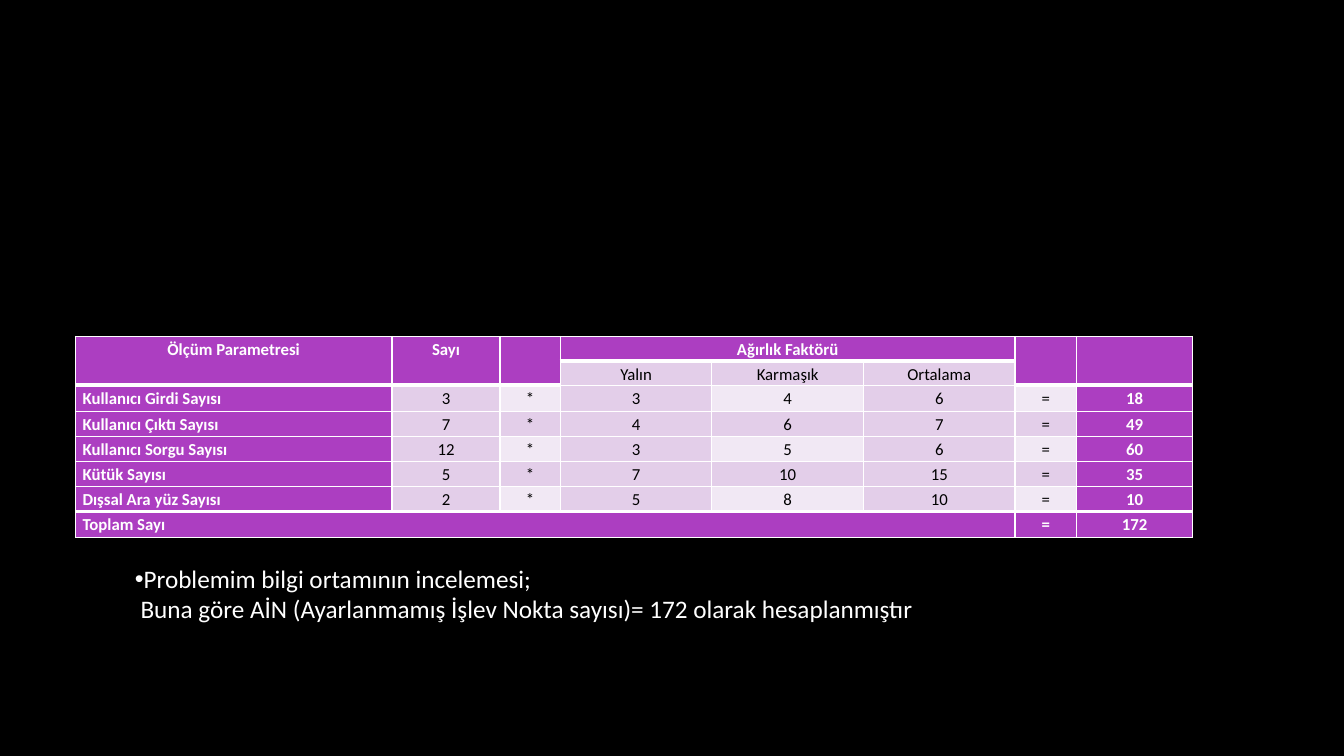
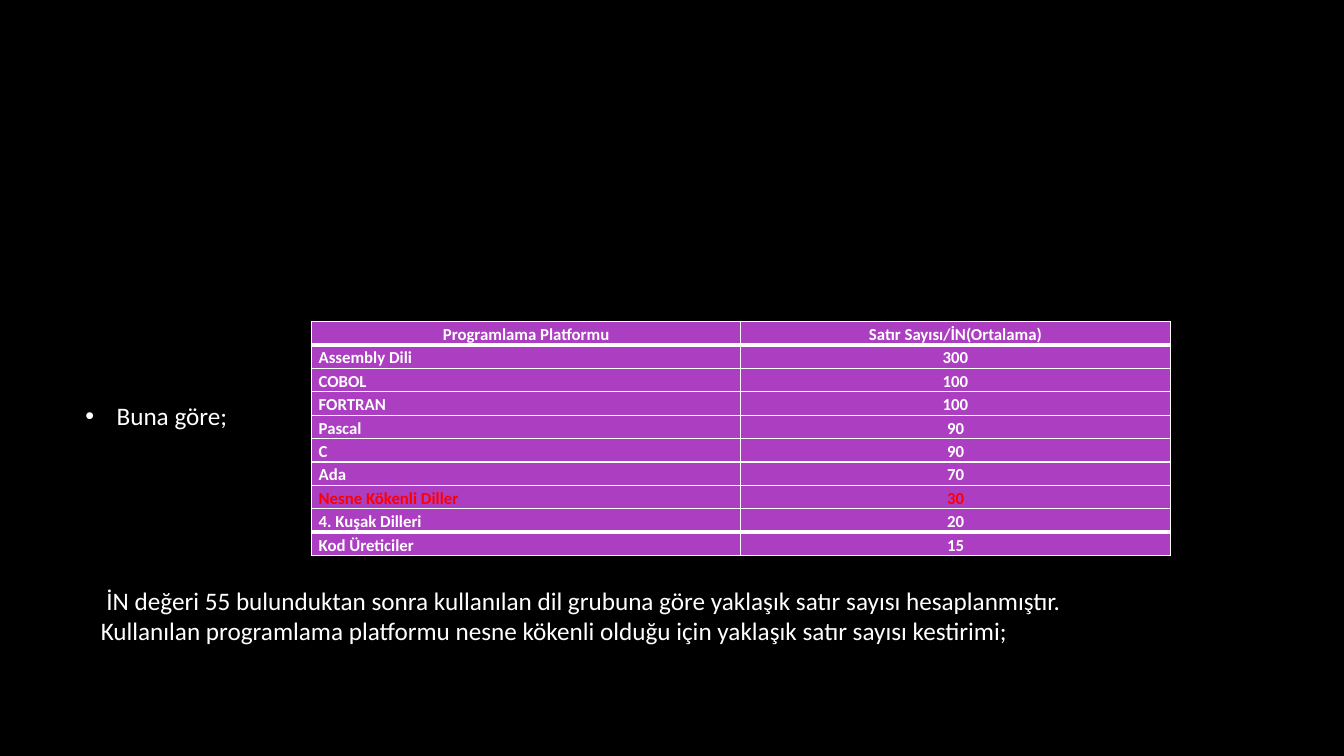
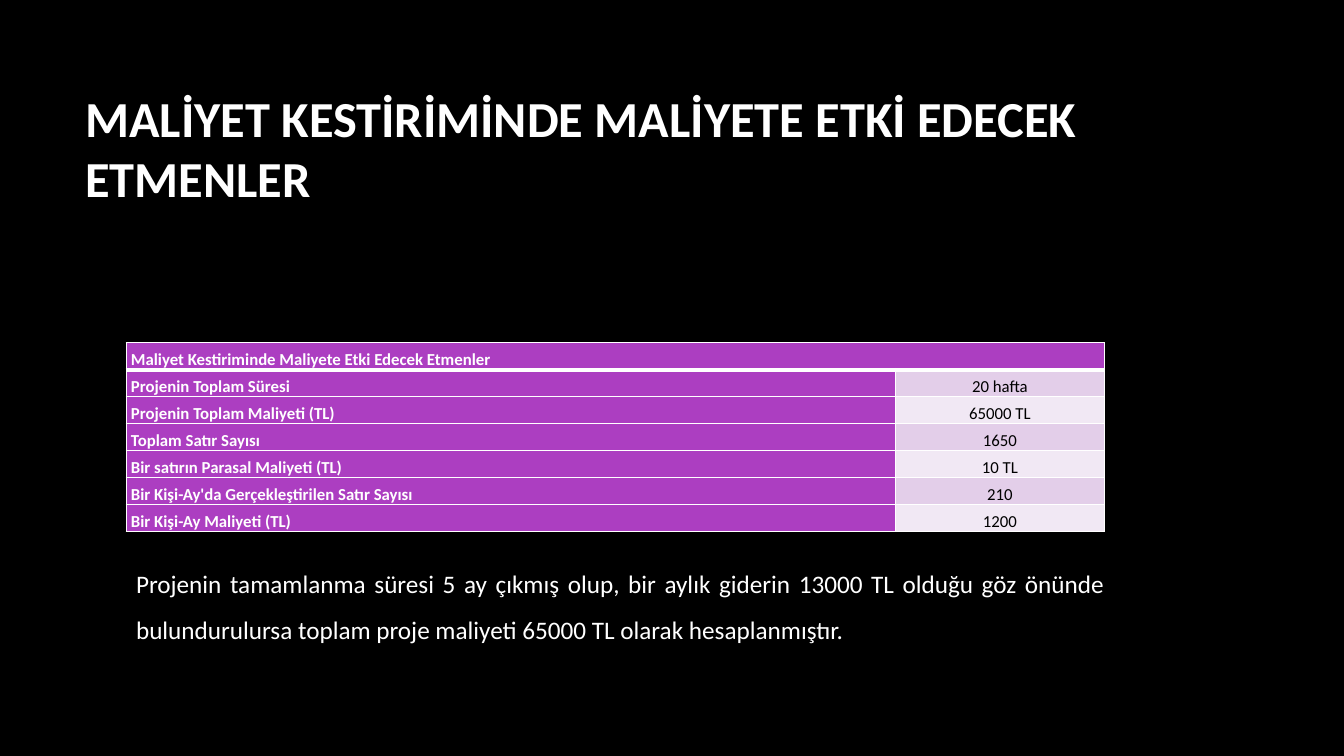
from dataclasses import dataclass

from lxml import etree
from pptx import Presentation
from pptx import util as u
from pptx.dml.color import RGBColor
from pptx.enum import text
from pptx.oxml.ns import qn

LEFT, MID, JUST = text.PP_ALIGN.LEFT, text.PP_ALIGN.CENTER, text.PP_ALIGN.JUSTIFY
TOP, CORE, LOW = text.MSO_ANCHOR.TOP, text.MSO_ANCHOR.MIDDLE, text.MSO_ANCHOR.BOTTOM


@dataclass(frozen=True)
class Theme:
    font: str = "Calibri"
    back: str = "000000"
    ink: str = "FFFFFF"
    dark: str = "000000"
    main: str = "AC3EC1"
    tint: str = "E3CEE9"
    pale: str = "F1E8F4"
    alert: str = "FF0000"
    title: int = 36
    body: int = 18
    cell: int = 12
    thin: int = 1
    thick: int = 3


THEME = Theme()


def write(para, words, size=THEME.body, color=THEME.ink, bold=False, align=LEFT,
          lead=1, after=0, left=0, first=0, bullet=None):
    para.alignment, para.line_spacing = align, lead
    para.space_after = u.Pt(after)
    props = para._p.get_or_add_pPr()
    props.set("marL", str(u.Cm(left)))
    props.set("indent", str(u.Cm(first)))
    if bullet:
        etree.SubElement(props, qn("a:buFont")).set("typeface", "Arial")
        etree.SubElement(props, qn("a:buChar")).set("char", bullet)
    if not words:
        end = etree.SubElement(para._p, qn("a:endParaRPr"))
        end.set("sz", str(size * 100))
        return
    run = para.add_run()
    run.text = words
    run.font.name, run.font.size, run.font.bold = THEME.font, u.Pt(size), bold
    run.font.color.rgb = RGBColor.from_string(color)


def edge(cell, side, width):
    """Draw one border of a cell; call before the fill is set."""
    line = etree.SubElement(cell._tc.get_or_add_tcPr(), qn("a:ln" + side))
    line.set("w", str(u.Pt(width)))
    fill = etree.SubElement(line, qn("a:solidFill"))
    etree.SubElement(fill, qn("a:srgbClr")).set("val", THEME.ink)


class Deck:
    def __init__(self):
        self.pres = Presentation()
        self.pres.slide_width, self.pres.slide_height = u.Cm(33.87), u.Cm(19.05)
        self.slide = None

    def page(self):
        self.slide = self.pres.slides.add_slide(self.pres.slide_layouts[6])
        fill = self.slide.background.fill
        fill.solid()
        fill.fore_color.rgb = RGBColor.from_string(THEME.back)

    def box(self, spot, *lines, anchor=TOP, **form):
        """Add a text box; each line is its words and its own format."""
        frame = self.slide.shapes.add_textbox(*map(u.Cm, spot)).text_frame
        frame.word_wrap, frame.vertical_anchor = True, anchor
        for i, (words, own) in enumerate(lines):
            para = frame.add_paragraph() if i else frame.paragraphs[0]
            write(para, words, **{**form, **own})

    def table(self, spot, cols, tall, rows, shade, thick, spans=(),
              anchor=TOP, pad=0.18, head=MID, alert=None):
        """shade(r, c) gives a cell's fill; thick holds cells with a heavy bottom."""
        size = map(u.Cm, (*spot, sum(cols), sum(tall)))
        grid = self.slide.shapes.add_table(len(rows), len(cols), *size).table
        grid.first_row = grid.horz_banding = False
        for col, width in zip(grid.columns, cols):
            col.width = u.Cm(width)
        for row, height in zip(grid.rows, tall):
            row.height = u.Cm(height)
        for start, stop in spans:
            grid.cell(*start).merge(grid.cell(*stop))
        for r, row in enumerate(rows):
            for c, words in enumerate(row):
                cell, fill = grid.cell(r, c), shade(r, c)
                cell.margin_left = cell.margin_right = u.Cm(pad)
                cell.margin_top = cell.margin_bottom = 0
                cell.vertical_anchor = anchor
                for side, heavy in (("L", False), ("R", False),
                                    ("T", (r - 1, c) in thick), ("B", (r, c) in thick)):
                    edge(cell, side, THEME.thick if heavy else THEME.thin)
                cell.fill.solid()
                cell.fill.fore_color.rgb = RGBColor.from_string(fill)
                strong = fill == THEME.main
                color = THEME.ink if strong else THEME.dark
                write(cell.text_frame.paragraphs[0], words, size=THEME.cell, bold=strong,
                      color=THEME.alert if r == alert else color, lead=1.15,
                      align=MID if c else LEFT if r else head)


def points(deck):
    deck.page()
    counts = [
        ("Kullanıcı Girdi Sayısı", 3, 3, 4, 6, 18),
        ("Kullanıcı Çıktı Sayısı", 7, 4, 6, 7, 49),
        ("Kullanıcı Sorgu Sayısı", 12, 3, 5, 6, 60),
        ("Kütük Sayısı", 5, 7, 10, 15, 35),
        ("Dışsal Ara yüz Sayısı", 2, 5, 8, 10, 10),
    ]
    rows = [
        ["Ölçüm Parametresi", "Sayı", "", "Ağırlık Faktörü", "", "", "", ""],
        ["", "", "", "Yalın", "Karmaşık", "Ortalama", "", ""],
        *([name, str(n), "*", str(a), str(b), str(c), "=", str(total)]
          for name, n, a, b, c, total in counts),
        ["Toplam Sayı", "", "", "", "", "", "=", "172"],
    ]
    last, tall = len(rows) - 1, (0, 1, 2, 6, 7)

    def shade(r, c):
        if r in (0, last) or c in (0, 7) or (r == 1 and c in tall):
            return THEME.main
        return THEME.pale if r > 1 and r % 2 == c % 2 == 0 else THEME.tint

    thick = {(r, c) for r in (0, last - 1) for c in range(8)} | {(1, c) for c in tall}
    spans = [((0, c), (1, c)) for c in tall] + [((0, 3), (0, 5)), ((last, 0), (last, 5))]
    deck.table((1.9, 8.48), [7.98, 2.72, 1.52, 3.82, 3.82, 3.82, 1.55, 2.93],
               [0.62, 0.61, 0.66, 0.63, 0.63, 0.63, 0.63, 0.66],
               rows, shade, thick, spans)
    deck.box((1.9, 14.07, 28.14, 1.8),
             ("Problemim bilgi ortamının incelemesi;", {"bullet": "•"}),
             (" Buna göre AİN (Ayarlanmamış İşlev Nokta sayısı)= 172 olarak hesaplanmıştır", {}),
             first=1.25)


def lines(deck):
    deck.page()
    deck.box((1.9, 5.94, 28.14, 9.07), ("Buna göre;", {}),
             anchor=CORE, left=0.79, first=-0.79, bullet="•")
    rows = [
        ("Programlama Platformu", "Satır Sayısı/İN(Ortalama)"),
        ("Assembly Dili", "300"), ("COBOL", "100"), ("FORTRAN", "100"),
        ("Pascal", "90"), ("C", "90"), ("Ada", "70"),
        ("Nesne Kökenli Diller", "30"), ("4. Kuşak Dilleri", "20"),
        ("Kod Üreticiler", "15"),
    ]
    deck.table((7.85, 8.1), [10.82] * 2, [0.59] * len(rows), rows,
               lambda r, c: THEME.main,
               {(r, c) for r in (0, len(rows) - 2) for c in (0, 1)}, alert=7)
    deck.box((2.29, 14.63, 27.23, 1.8),
             (" İN değeri 55 bulunduktan sonra kullanılan dil grubuna göre yaklaşık satır sayısı "
              "hesaplanmıştır. Kullanılan programlama platformu nesne kökenli olduğu için "
              "yaklaşık satır sayısı kestirimi;", {}))


def costs(deck):
    deck.page()
    deck.box((1.9, 1.7, 28.14, 4.04),
             ("MALİYET KESTİRİMİNDE MALİYETE ETKİ EDECEK ETMENLER", {}),
             anchor=CORE, size=THEME.title, bold=True)
    rows = [
        ("Maliyet Kestiriminde Maliyete Etki Edecek Etmenler", ""),
        ("Projenin Toplam Süresi", "20 hafta"),
        ("Projenin Toplam Maliyeti (TL)", "65000 TL"),
        ("Toplam Satır Sayısı", "1650"),
        ("Bir satırın Parasal Maliyeti (TL)", "10 TL"),
        ("Bir Kişi-Ay'da Gerçekleştirilen Satır Sayısı", "210"),
        ("Bir Kişi-Ay Maliyeti (TL)", "1200"),
    ]

    def shade(r, c):
        if r == 0 or c == 0:
            return THEME.main
        return THEME.tint if r % 2 else THEME.pale

    deck.table((3.18, 8.64), [19.38, 5.28], [0.68] * len(rows), rows, shade,
               {(0, 0), (0, 1)}, [((0, 0), (0, 1))], anchor=LOW, pad=0.12, head=LEFT)
    deck.box((3.18, 13.82, 24.92, 2.57),
             ("Projenin tamamlanma süresi 5 ay çıkmış olup, bir aylık giderin 13000 TL olduğu "
              "göz önünde bulundurulursa toplam proje maliyeti 65000 TL olarak "
              "hesaplanmıştır.", {}),
             align=JUST, lead=1.5, after=12)


def main():
    deck = Deck()
    for build in (points, lines, costs):
        build(deck)
    deck.pres.save("out.pptx")


if __name__ == "__main__":
    main()
